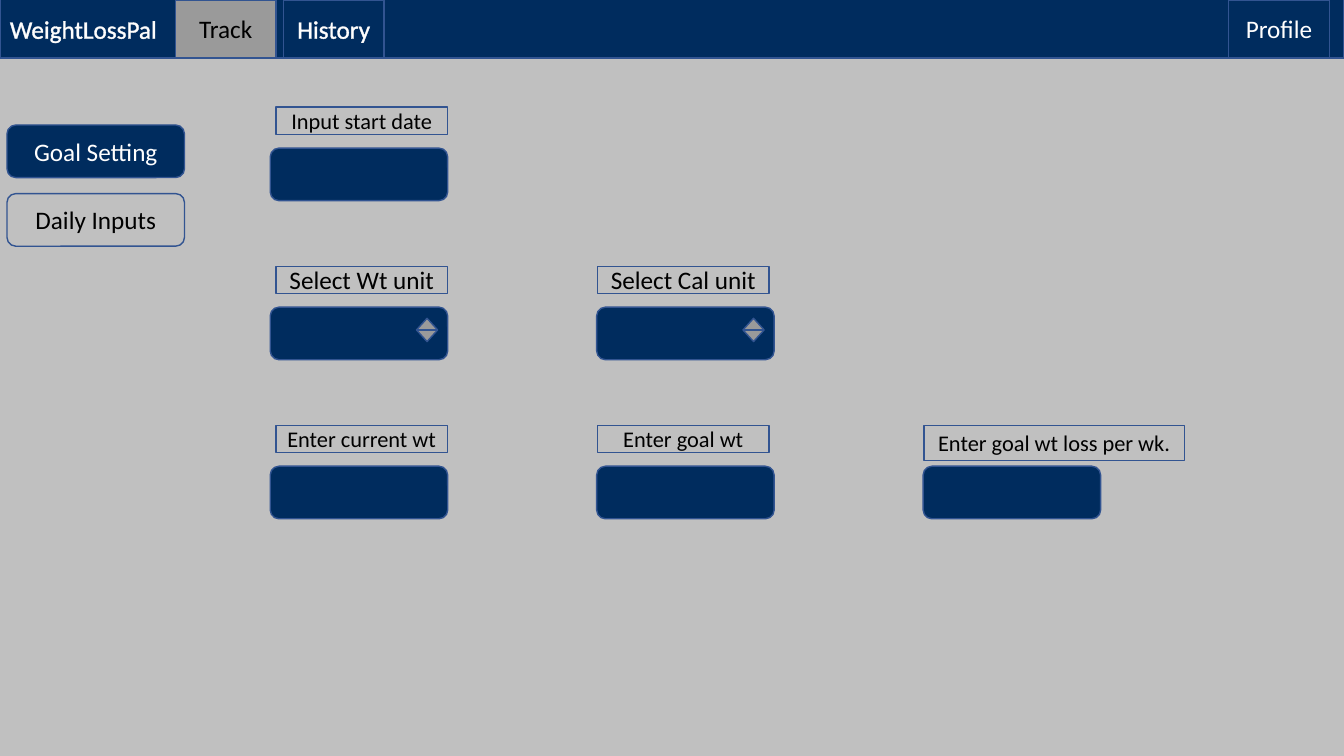
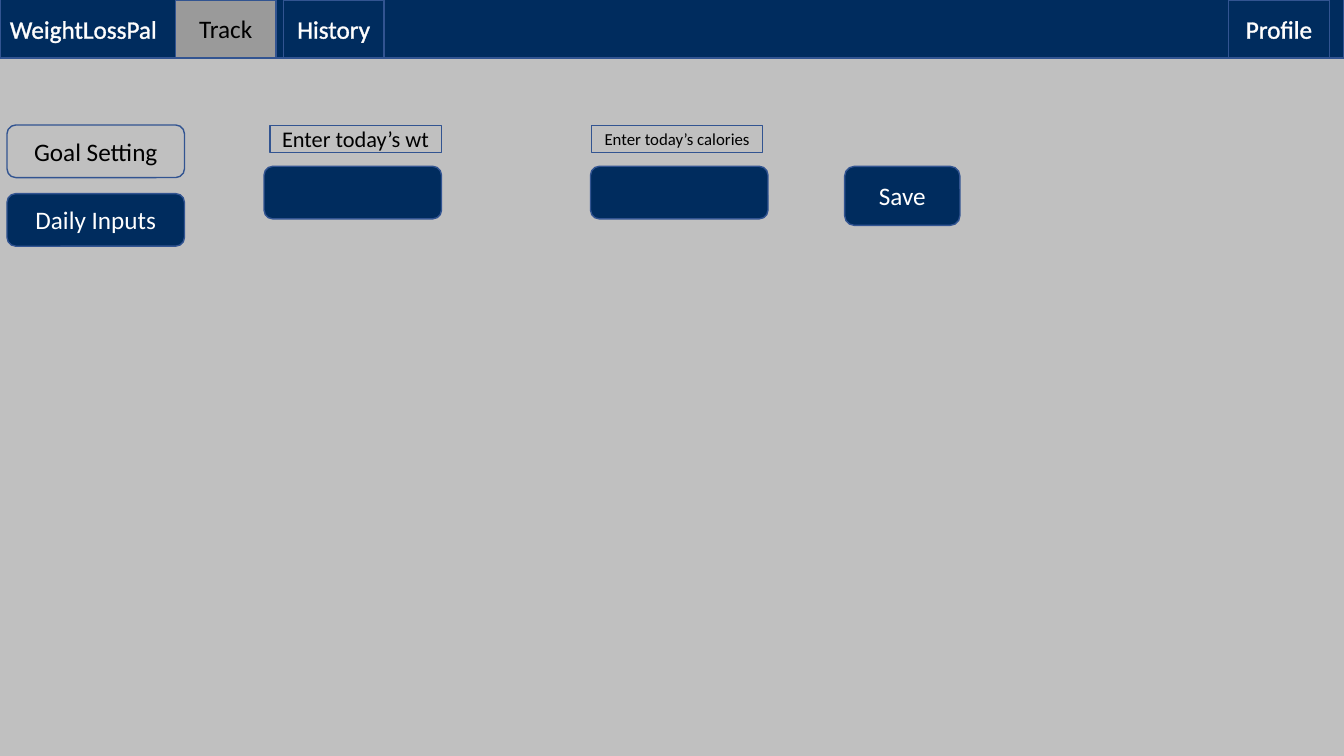
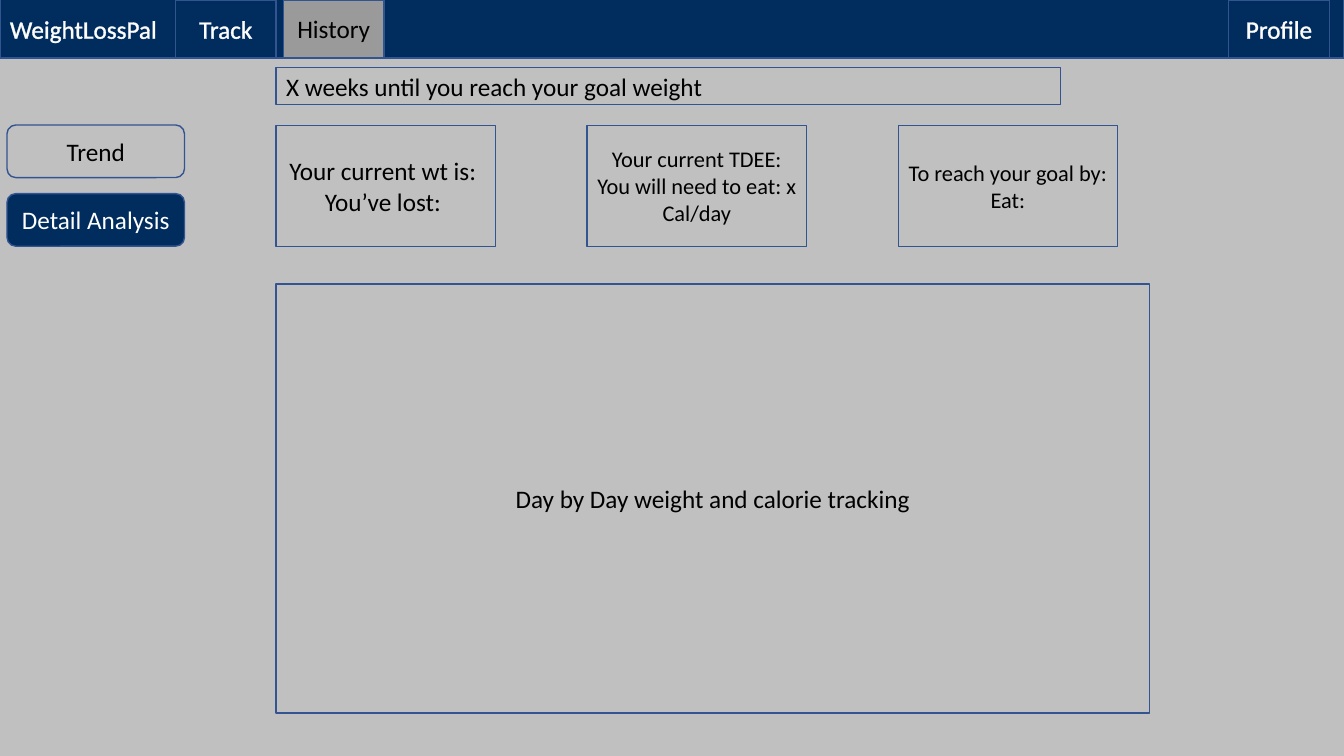
from lxml.etree import SubElement
from pptx import Presentation
from pptx.dml.color import RGBColor
from pptx.enum.shapes import MSO_SHAPE
from pptx.enum.text import MSO_ANCHOR, PP_ALIGN
from pptx.oxml.ns import qn
from pptx.util import Pt

NAVY = RGBColor(0x00, 0x2C, 0x5E)
EDGE = RGBColor(0x32, 0x54, 0x91)
GREY = RGBColor(0x9A, 0x9A, 0x9A)
PAGE = RGBColor(0xC0, 0xC0, 0xC0)
WHITE = RGBColor(0xFF, 0xFF, 0xFF)
PALE = RGBColor(0xF2, 0xF2, 0xF2)
BLACK = RGBColor(0x00, 0x00, 0x00)

LEFT, STEP = 193, 233.2
TOP, DROP = 105.8, 113.6
PANEL = 197.2


def trace(run, color, width):
    """Outline the letters of a run."""
    props = run.font._element
    line = SubElement(props, qn("a:ln"), w=str(Pt(width)))
    fill = SubElement(line, qn("a:solidFill"))
    SubElement(fill, qn("a:srgbClr"), val=str(color))
    props.insert(0, line)


def write(shape, text, size=18, color=BLACK, align=PP_ALIGN.CENTER,
          edge=None, width=0.75):
    """Fill a shape with text, one paragraph per line."""
    frame = shape.text_frame
    frame.word_wrap = True
    frame.vertical_anchor = MSO_ANCHOR.MIDDLE
    for i, words in enumerate(text.split("\n")):
        para = frame.add_paragraph() if i else frame.paragraphs[0]
        para.alignment = align
        run = para.add_run()
        run.text = words
        run.font.name = "Calibri"
        run.font.size = Pt(size)
        run.font.color.rgb = color
        if edge is not None:
            trace(run, edge, width)


class Deck:
    """Hold the style and the current slide."""

    def __init__(self):
        """Start a deck with a grey page."""
        self.show = Presentation()
        self.show.slide_width = Pt(960)
        self.show.slide_height = Pt(540)
        fill = self.show.slide_master.background.fill
        fill.solid()
        fill.fore_color.rgb = PAGE
        self.slide = None

    def shape(self, kind, x, y, w, h, fill=None):
        """Draw a shape with the common edge."""
        item = self.slide.shapes.add_shape(kind, Pt(x), Pt(y), Pt(w), Pt(h))
        item.shadow.inherit = False
        item.line.color.rgb = EDGE
        item.line.width = Pt(1)
        if fill is None:
            item.fill.background()
        else:
            item.fill.solid()
            item.fill.fore_color.rgb = fill
        return item

    def box(self, text, x, y, w, h, **form):
        """Draw a clear box with text."""
        write(self.shape(MSO_SHAPE.RECTANGLE, x, y, w, h), text, **form)

    def tab(self, text, x, on=False, bold=True):
        """Draw a tab in the top bar."""
        item = self.shape(MSO_SHAPE.RECTANGLE, x, 0, 72, 41,
                          GREY if on else None)
        edge = BLACK if on else PALE
        write(item, text, color=BLACK if on else WHITE,
              edge=edge if bold else None)

    def button(self, text, x, y, w=126.8, h=37.6, on=True):
        """Draw a round button, filled when on."""
        item = self.shape(MSO_SHAPE.ROUNDED_RECTANGLE, x, y, w, h,
                          NAVY if on else None)
        if text:
            write(item, text, color=WHITE if on else BLACK)

    def page(self, tab, menu, pick, bold=True):
        """Add a slide with its top bar and side menu."""
        self.slide = self.show.slides.add_slide(self.show.slide_layouts[6])
        bar = self.shape(MSO_SHAPE.RECTANGLE, 0, -0.5, 960, 42, NAVY)
        write(bar, "WeightLossPal", color=WHITE, align=PP_ALIGN.LEFT,
              edge=PALE, width=0)
        for name, x in (("Track", 125.3), ("History", 202.4)):
            self.tab(name, x, on=name == tab)
        self.tab("Profile", 877.6, bold=bold)
        for i, name in enumerate(menu):
            self.button(name, 5, 89.3 + 49 * i, on=name == pick)

    def field(self, text, col, x, y, size=16, w=122.4, h=19.4, sort=False):
        """Draw an input field under its label."""
        self.button("", x, y)
        self.box(text, x + (0.7 if col else 4.2), y - 29.2, w, h, size=size)
        if sort:
            self.shape(MSO_SHAPE.FLOWCHART_SORT, x + 104.5, y + 8,
                       15.1, 16.6, GREY)


deck = Deck()
menu = ("Goal Setting", "Daily Inputs")

deck.page("Track", menu, "Goal Setting", bold=False)
goals = (
    ("Input start date", 0, 0, {}),
    ("Select Wt unit", 0, 1, {"size": 18, "sort": True}),
    ("Select Cal unit", 1, 1, {"size": 18, "sort": True}),
    ("Enter current wt", 0, 2, {}),
    ("Enter goal wt", 1, 2, {}),
    ("Enter goal wt loss per wk.", 2, 2, {"w": 185.8, "h": 25.2}),
)
for text, col, row, form in goals:
    deck.field(text, col, LEFT + STEP * col, TOP + DROP * row, **form)

deck.page("Track", menu, "Daily Inputs")
daily = (("Enter today’s wt", 16), ("Enter today’s calories", 12))
for col, (text, size) in enumerate(daily):
    deck.field(text, col, 188.6 + STEP * col, 118.8, size=size)
deck.button("Save", 603.3, 118.8, 82.4, 42.2)

deck.page("History", ("Trend", "Detail Analysis"), "Detail Analysis")
facts = (
    ("Your current wt is: \nYou’ve lost: ", 18),
    ("Your current TDEE:\nYou will need to eat: x Cal/day", 16),
    ("To reach your goal by:\nEat:", 16),
)
for col, (text, size) in enumerate(facts):
    deck.box(text, PANEL + 222.2 * col, 89.5, 156.6, 86.6, size=size)
deck.box("X weeks until you reach your goal weight", PANEL, 48.2, 560.2, 26.4,
         align=PP_ALIGN.LEFT)
deck.box("Day by Day weight and calorie tracking", PANEL, 202.9, 623.7, 306.4)

deck.show.save("out.pptx")
